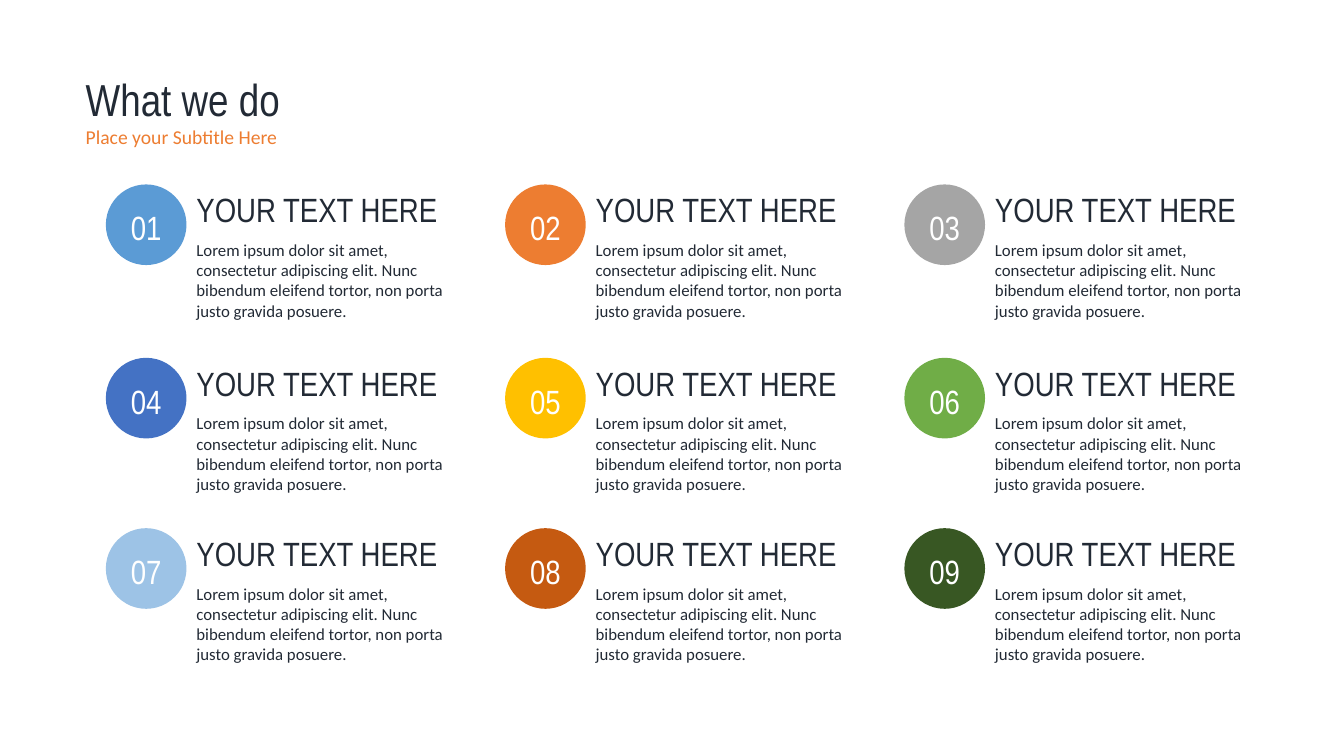
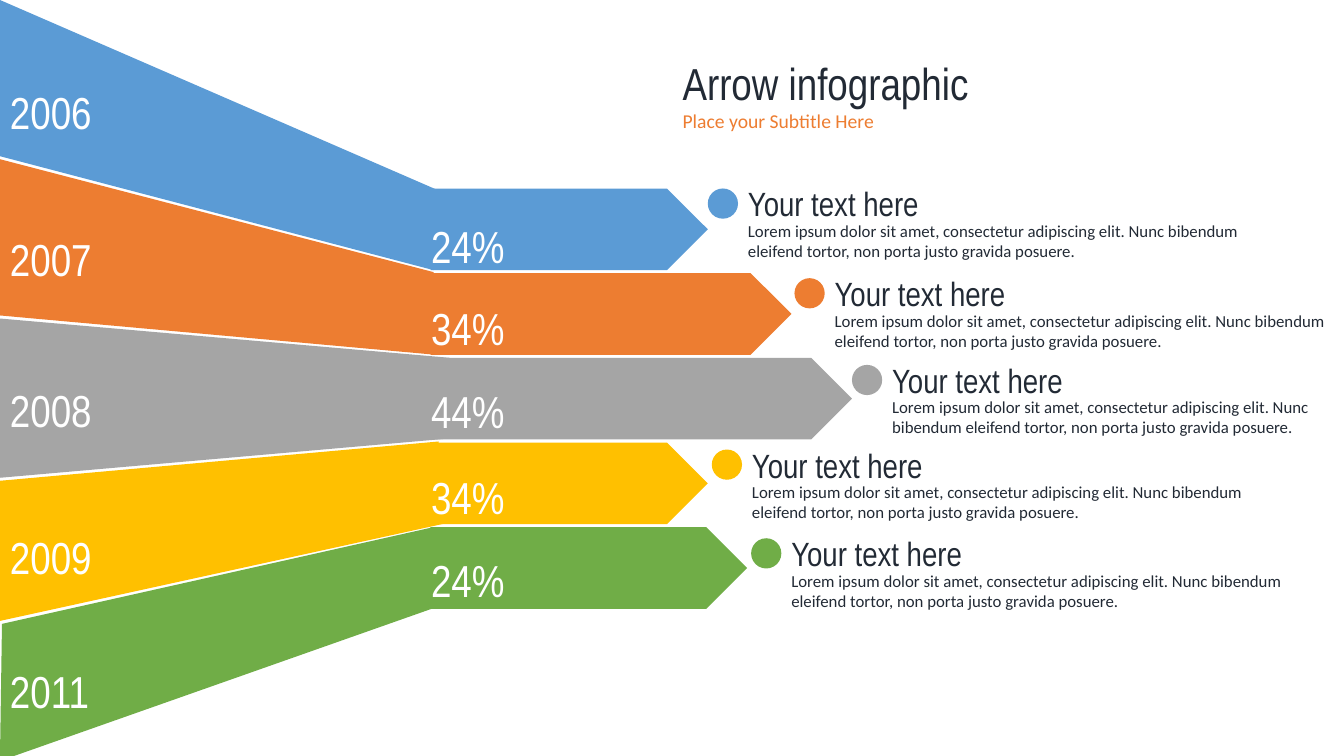
"""Build a nine-item overview slide and an arrow infographic slide."""
from dataclasses import dataclass

from pptx import Presentation
from pptx.dml.color import RGBColor
from pptx.enum import shapes as kinds, text as text_enums
from pptx.util import Inches, Pt


@dataclass(frozen=True)
class Theme:
    blue: str = "5B9BD5"
    orange: str = "ED7D31"
    grey: str = "A5A5A5"
    indigo: str = "4472C4"
    yellow: str = "FFC000"
    green: str = "70AD47"
    light_blue: str = "9DC3E6"
    rust: str = "C55A11"
    dark_green: str = "385723"
    title: tuple = ("Arial Narrow", 32, "222A35")
    subtitle: tuple = ("Calibri", 14, "ED7D31")
    heading: tuple = ("Arial Narrow", 24, "222A35")
    body: tuple = ("Calibri", 12, "222A35")
    number: tuple = ("Arial Narrow", 24, "FFFFFF")
    figure: tuple = ("Arial Narrow", 32, "FFFFFF")


theme = Theme()
LEFT, CENTER = text_enums.PP_ALIGN.LEFT, text_enums.PP_ALIGN.CENTER
TOP, MIDDLE = text_enums.MSO_ANCHOR.TOP, text_enums.MSO_ANCHOR.MIDDLE
LOREM = ("Lorem ipsum dolor sit amet, consectetur adipiscing elit. "
         "Nunc bibendum eleifend tortor, non porta justo gravida posuere.")


def set_text(shape, box, content, style, alignment=LEFT, anchor=TOP):
    shape.left, shape.top, shape.width, shape.height = map(Inches, box)
    frame = shape.text_frame
    frame.text = content
    frame.word_wrap = True
    frame.auto_size = text_enums.MSO_AUTO_SIZE.NONE
    frame.vertical_anchor = anchor
    paragraph = frame.paragraphs[0]
    paragraph.alignment = alignment
    paragraph.space_before = Pt(0)
    font = paragraph.runs[0].font
    font.name, size, color = style
    font.size = Pt(size)
    font.color.rgb = RGBColor.from_string(color)


def paint(shape, color):
    shape.shadow.inherit = False
    shape.fill.solid()
    shape.fill.fore_color.rgb = RGBColor.from_string(color)
    shape.line.fill.background()


presentation = Presentation()
presentation.slide_width, presentation.slide_height = Inches(13.33), Inches(7.5)

slides = []
for title, left, top in (("What we do", 0.75, 0.66), ("Arrow infographic", 6.67, 0.5)):
    slide = presentation.slides.add_slide(presentation.slide_layouts[0])
    set_text(slide.shapes.title, (left, top, 6, 0.64), title, theme.title)
    set_text(slide.placeholders[1], (left, top + 0.53, 6, 0.34),
             "Place your Subtitle Here", theme.subtitle)
    slides.append(slide)
overview, infographic = slides

circle_colors = (theme.blue, theme.orange, theme.grey,
                 theme.indigo, theme.yellow, theme.green,
                 theme.light_blue, theme.rust, theme.dark_green)
row_tops = (1.83, 3.55, 5.24)
for index, color in enumerate(circle_colors):
    row, column = divmod(index, 3)
    left, top = 1.85 + 3.96 * column, row_tops[row]
    circle = overview.shapes.add_shape(kinds.MSO_SHAPE.OVAL, 0, 0, 0, 0)
    paint(circle, color)
    set_text(circle, (left - 0.8, top, 0.8, 0.8), f"{index + 1:02d}",
             theme.number, CENTER, MIDDLE)
    circle.text_frame.margin_left = circle.text_frame.margin_right = 0
    circle.text_frame.margin_bottom = 0
    for offset, height, content, style in ((0, 0.5, "YOUR TEXT HERE", theme.heading),
                                           (0.5, 0.91, LOREM, theme.body)):
        set_text(overview.shapes.add_textbox(0, 0, 0, 0),
                 (left, top + offset, 2.9, height), content, style)

arrow_left, arrow_height, arrow_step, dot_size = 4.27, 0.81, 0.84, 0.3
# year, year top, share, share top, color, arrow tip, dot left, dot top, body width, band
arrows = (
    ("2006", 0.79, "24%", 2.12, theme.blue, 7.02, 7.02, 1.87, 5.15,
     ((0, 0), (4.35, 1.89), (4.3, 2.68), (0, 1.55))),
    ("2007", 2.25, "34%", 2.93, theme.orange, 7.85, 7.88, 2.76, 5.15,
     ((0, 1.58), (4.3, 2.7), (4.32, 3.52), (0, 3.13))),
    ("2008", 3.75, "44%", 3.76, theme.grey, 8.45, 8.45, 3.62, 4.47,
     ((0, 3.16), (4.46, 3.55), (4.46, 4.35), (0, 4.74))),
    ("2009", 5.21, "34%", 4.61, theme.yellow, 7.02, 7.06, 4.46, 5.15,
     ((0, 4.77), (4.35, 4.38), (4.43, 5.19), (0, 6.16))),
    ("2011", 6.54, "24%", 5.43, theme.green, 7.41, 7.45, 5.34, 5.15,
     ((0.02, 6.19), (4.3, 5.23), (4.31, 6.03), (0.14, 7.5), (0, 7.5))),
)
for index, (year, year_top, share, share_top, color, tip,
            dot_left, dot_top, body_width, band_points) in enumerate(arrows):
    start, *others = [(Inches(x), Inches(y)) for x, y in band_points]
    builder = infographic.shapes.build_freeform(*start)
    builder.add_line_segments(others, close=True)
    arrow = infographic.shapes.add_shape(
        kinds.MSO_SHAPE.PENTAGON, Inches(arrow_left), Inches(1.87 + arrow_step * index),
        Inches(tip - arrow_left), Inches(arrow_height))
    dot = infographic.shapes.add_shape(
        kinds.MSO_SHAPE.OVAL, Inches(dot_left), Inches(dot_top),
        Inches(dot_size), Inches(dot_size))
    for shape in (builder.convert_to_shape(), arrow, dot):
        paint(shape, color)
    text_left = dot_left + dot_size
    for box, content, style, alignment in (
            ((0, year_top, 1.3, 0.6), year, theme.figure, LEFT),
            ((4.12, share_top, 1.04, 0.6), share, theme.figure, CENTER),
            ((text_left, dot_top + 0.27, body_width, 0.5), LOREM, theme.body, LEFT),
            ((text_left, dot_top - 0.1, 3.17, 0.5), "Your text here", theme.heading, LEFT)):
        set_text(infographic.shapes.add_textbox(0, 0, 0, 0), box, content, style, alignment)

presentation.save("out.pptx")
